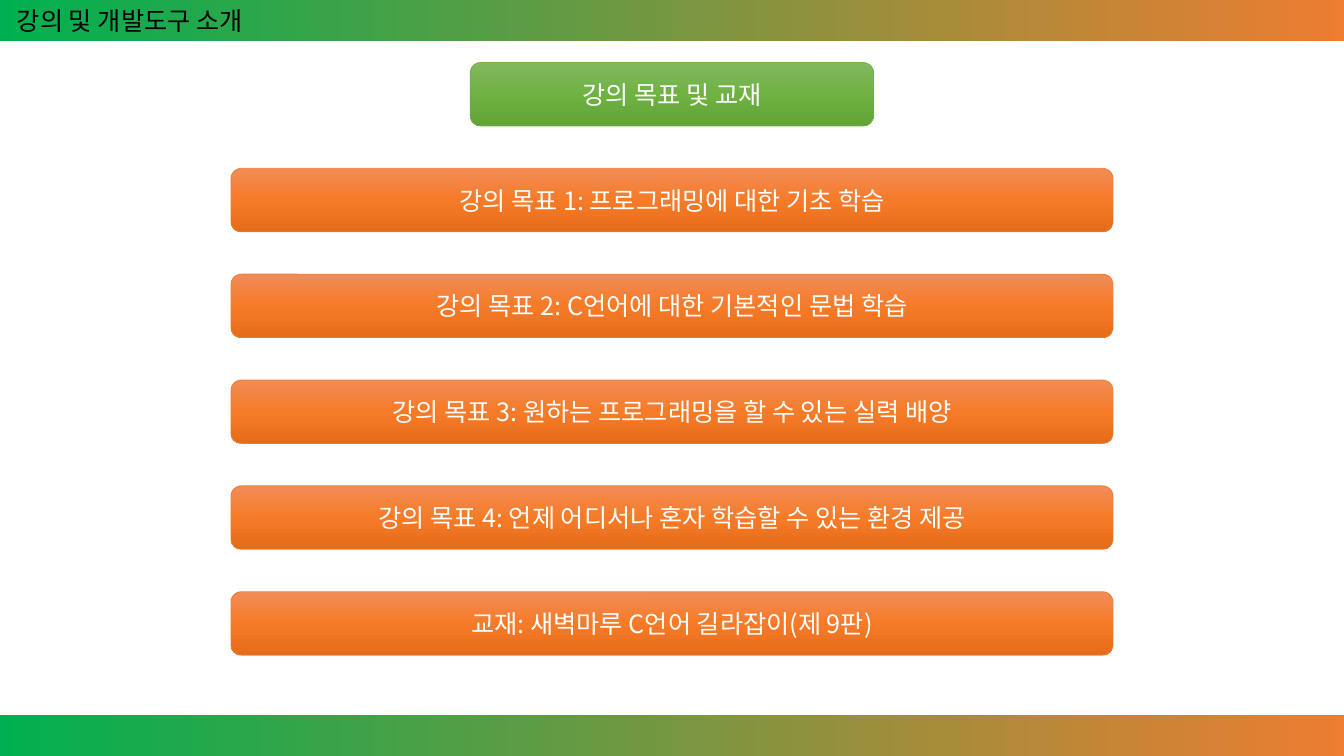
from copy import deepcopy
from dataclasses import dataclass

from lxml.etree import SubElement
from pptx import Presentation
from pptx.dml.color import RGBColor
from pptx.enum.shapes import MSO_SHAPE as Shape
from pptx.enum.text import MSO_ANCHOR as Anchor, MSO_AUTO_SIZE as AutoSize, PP_ALIGN as Align
from pptx.oxml.ns import qn
from pptx.shapes.autoshape import Shape as AutoShape
from pptx.slide import Slide
from pptx.text.text import TextFrame
from pptx.util import Inches, Pt

WIDTH, HEIGHT = 13.33, 7.5
BAND_HEIGHT = 0.41
ROW_TOP, ROW_PITCH, ROW_HEIGHT = 0.62, 1.05, 0.63

FONT = "Noto Sans CJK KR"
BLACK = RGBColor(0x00, 0x00, 0x00)
WHITE = RGBColor(0xFF, 0xFF, 0xFF)
BAND_GREEN = RGBColor(0x00, 0xB0, 0x50)
GREEN = RGBColor(0x70, 0xAD, 0x47)
GREEN_LIGHT = RGBColor(0x81, 0xB8, 0x61)
GREEN_MID = RGBColor(0x6F, 0xB2, 0x42)
GREEN_DARK = RGBColor(0x62, 0xA3, 0x36)
ORANGE = RGBColor(0xED, 0x7D, 0x31)
ORANGE_LIGHT = RGBColor(0xF1, 0x8C, 0x57)
ORANGE_MID = RGBColor(0xF6, 0x7B, 0x28)
ORANGE_DARK = RGBColor(0xE5, 0x6C, 0x19)


@dataclass(frozen=True)
class BarStyle:
    width: float
    stops: tuple[RGBColor, ...]
    line: RGBColor


@dataclass(frozen=True)
class Bar:
    text: str
    style: BarStyle


HEADING = BarStyle(4, (GREEN_LIGHT, GREEN_MID, GREEN_DARK), GREEN)
GOAL = BarStyle(8.75, (ORANGE_LIGHT, ORANGE_MID, ORANGE_DARK), ORANGE)

BARS = (
    Bar("강의 목표 및 교재", HEADING),
    Bar("강의 목표 1: 프로그래밍에 대한 기초 학습", GOAL),
    Bar("강의 목표 2: C언어에 대한 기본적인 문법 학습", GOAL),
    Bar("강의 목표 3: 원하는 프로그래밍을 할 수 있는 실력 배양", GOAL),
    Bar("강의 목표 4: 언제 어디서나 혼자 학습할 수 있는 환경 제공", GOAL),
    Bar("교재: 새벽마루 C언어 길라잡이(제 9판)", GOAL),
)


def add_gradient_shape(slide: Slide, kind: Shape, box: tuple[float, ...],
                       colors: tuple[RGBColor, ...], angle: int) -> AutoShape:
    """Add a shape filled with evenly spaced colours; angle runs counter-clockwise."""
    s = slide.shapes.add_shape(kind, *map(Inches, box))
    s.shadow.inherit = False
    s.fill.gradient()
    s.fill.gradient_angle = angle
    gs_list = s.fill._xPr.find(".//" + qn("a:gsLst"))
    while len(gs_list) < len(colors):
        gs_list.append(deepcopy(gs_list[-1]))
    for i, (stop, color) in enumerate(zip(s.fill.gradient_stops, colors)):
        stop.position = i / (len(colors) - 1)
        stop.color.rgb = color
    return s


def write_text(tf: TextFrame, text: str, color: RGBColor) -> None:
    r = tf.paragraphs[0].add_run()
    r.text = text
    for name, value in {"size": Pt(18), "name": FONT}.items():
        setattr(r.font, name, value)
    r.font.color.rgb = color
    SubElement(r._r.get_or_add_rPr(), qn("a:ea"), typeface=FONT)


def add_band(slide: Slide, top: float) -> None:
    s = add_gradient_shape(slide, Shape.RECTANGLE, (0, top, WIDTH, BAND_HEIGHT),
                           (BAND_GREEN, ORANGE), 0)
    s.line.fill.background()


def add_title(slide: Slide, text: str) -> None:
    tf = slide.shapes.add_textbox(*map(Inches, (0.07, 0, 2.74, 0.4))).text_frame
    tf.word_wrap = False
    tf.auto_size = AutoSize.SHAPE_TO_FIT_TEXT
    write_text(tf, text, BLACK)


def add_bar(slide: Slide, bar: Bar, row: int) -> None:
    style = bar.style
    box = ((WIDTH - style.width) / 2, ROW_TOP + row * ROW_PITCH, style.width, ROW_HEIGHT)
    s = add_gradient_shape(slide, Shape.ROUNDED_RECTANGLE, box, style.stops, 270)
    s.line.color.rgb = style.line
    s.line.width = Pt(0.5)
    tf = s.text_frame
    tf.word_wrap = True
    tf.vertical_anchor = Anchor.MIDDLE
    tf.paragraphs[0].alignment = Align.CENTER
    write_text(tf, bar.text, WHITE)


def main() -> None:
    prs = Presentation()
    prs.slide_width, prs.slide_height = Inches(WIDTH), Inches(HEIGHT)
    slide = prs.slides.add_slide(prs.slide_layouts[6])
    for top in (0, HEIGHT - BAND_HEIGHT):
        add_band(slide, top)
    add_title(slide, "강의 및 개발도구 소개")
    for row, bar in enumerate(BARS):
        add_bar(slide, bar, row)
    prs.save("out.pptx")


if __name__ == "__main__":
    main()
